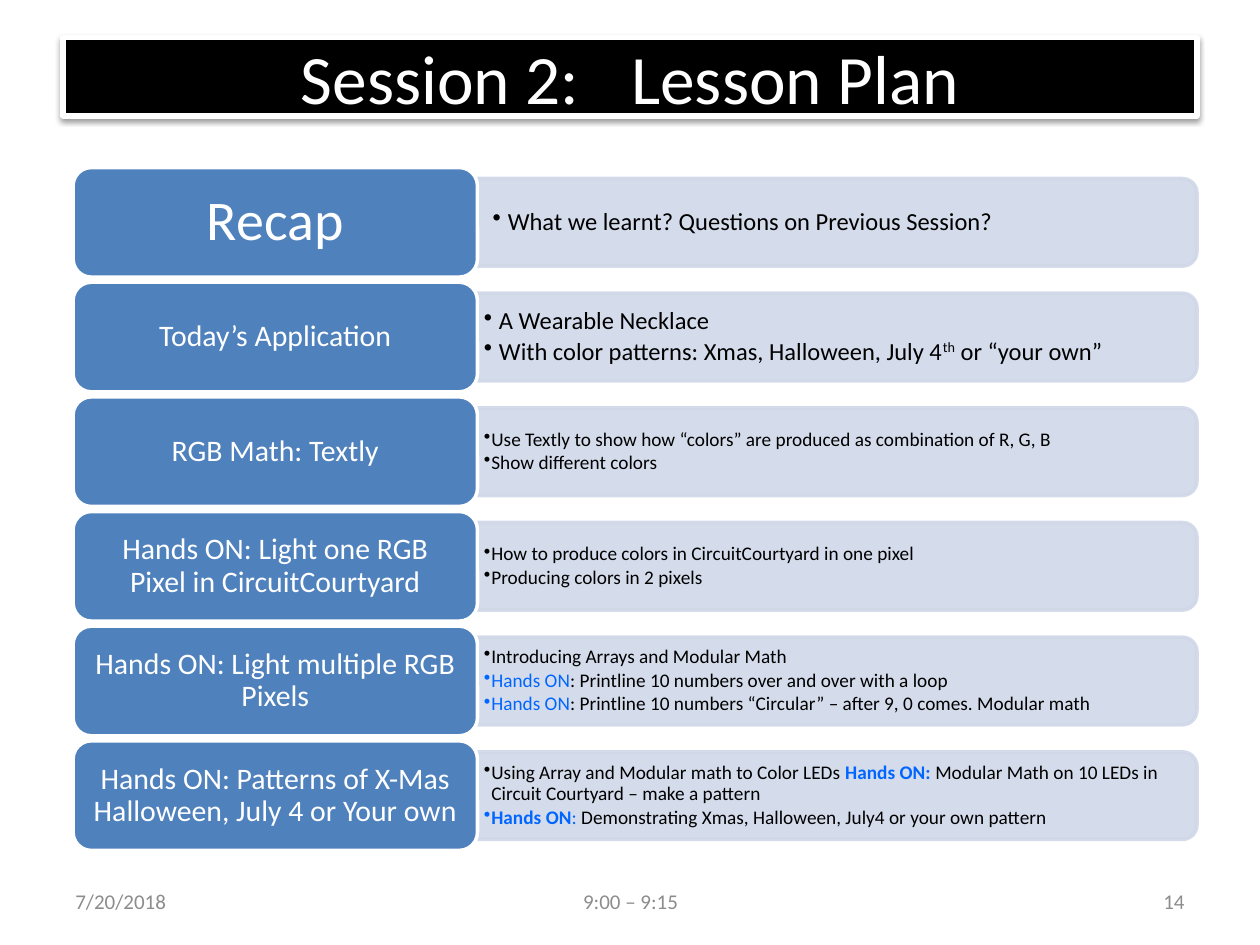
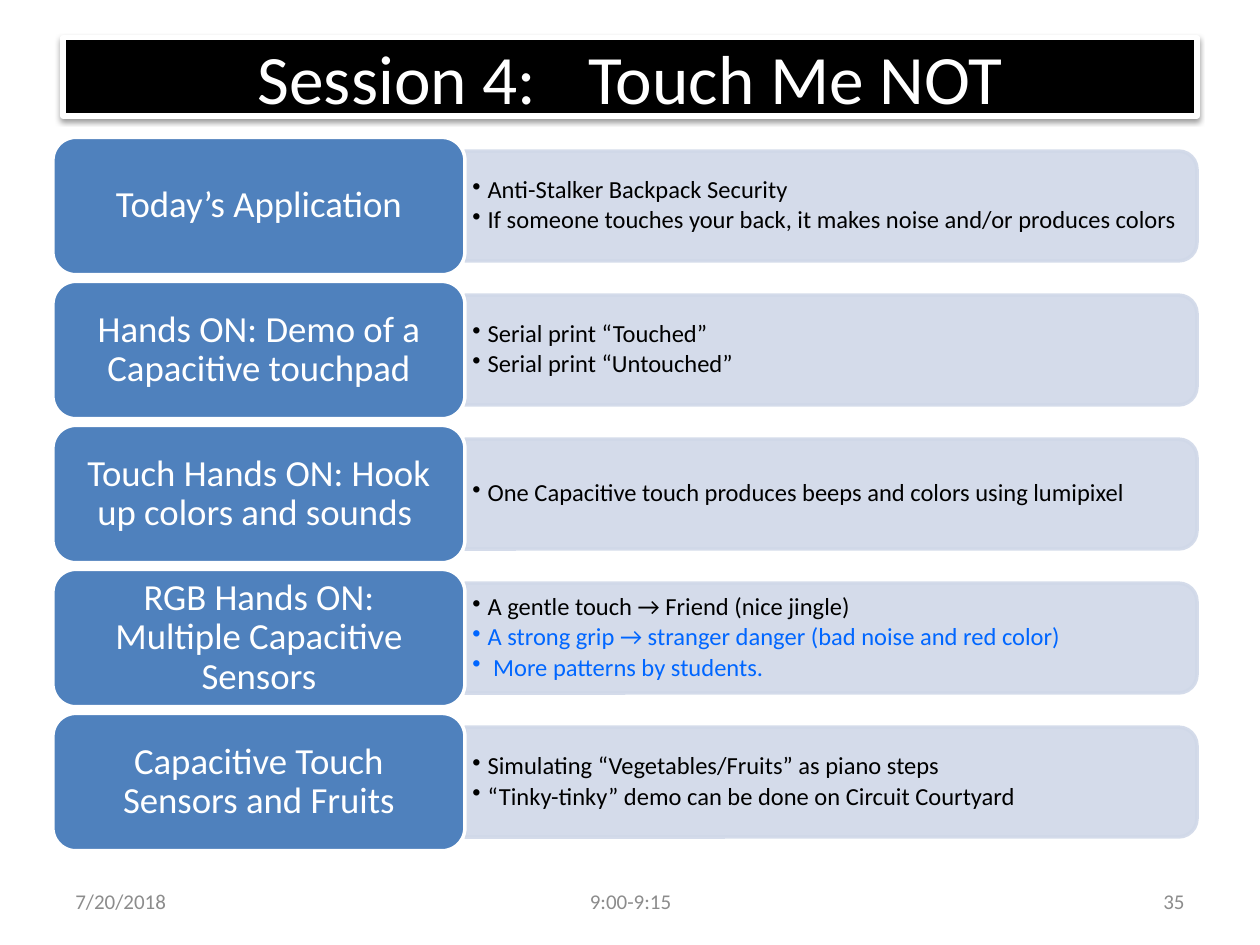
import dataclasses
import typing

import lxml.etree
import pptx
import pptx.dml.color
import pptx.enum.shapes
import pptx.enum.text
import pptx.oxml
import pptx.oxml.ns
import pptx.util

Inches = pptx.util.Inches
Pt = pptx.util.Pt
qn = pptx.oxml.ns.qn
ALIGN = pptx.enum.text.PP_ALIGN
SHAPE = pptx.enum.shapes.MSO_SHAPE


@dataclasses.dataclass(frozen=True)
class Theme:
    font: str = "Calibri"
    black: str = "000000"
    white: str = "FFFFFF"
    label: str = "4F81BD"
    panel: str = "D0D8E8"
    accent: str = "0066FF"
    footer: str = "8C8C8C"
    title_size: float = 39.6
    footer_size: float = 12
    large: float = 14
    small: float = 11


@dataclasses.dataclass(frozen=True)
class Topic:
    label: str
    points: list
    label_size: float
    point_size: float
    inset: float


@dataclasses.dataclass(frozen=True)
class Lesson:
    title: str
    hours: str
    number: str
    left: float
    top: float
    label_width: float
    label_height: float
    pitch: float
    topics: typing.List[Topic]


THEME = Theme()
RIGHT_EDGE = 9.5
LABEL_PADDING = 0.05
PANEL_SHARE = 0.8
POINT_INDENT = {THEME.large: 0.12, THEME.small: 0.06}
BLUE = {"color": THEME.accent}
BOLD_BLUE = {"color": THEME.accent, "bold": True}
SUPERSCRIPT = {"baseline": 30000}

LESSON_PLAN = Lesson(
    "Session 2:\t Lesson Plan", "9:00 – 9:15", "14", 0.58, 1.33, 3.21, 0.87, 0.91,
    [
        Topic("Recap", ["What we learnt? Questions on Previous Session?"], 32, THEME.large, 0.12),
        Topic("Today’s Application", [
            "A Wearable Necklace",
            ["With color patterns: Xmas, Halloween, July 4", ("th", SUPERSCRIPT), " or “your own”"],
        ], 17, THEME.large, 0.05),
        Topic("RGB Math: Textly", [
            "Use Textly to show how “colors” are produced as combination of R, G, B",
            "Show different colors",
        ], 17, THEME.small, 0.05),
        Topic("Hands ON: Light one RGB Pixel in CircuitCourtyard", [
            "How to produce colors in CircuitCourtyard in one pixel",
            "Producing colors in 2 pixels",
        ], 17, THEME.small, 0.05),
        Topic("Hands ON: Light multiple RGB Pixels", [
            "Introducing Arrays and Modular Math",
            [("Hands ON", BLUE), ": Printline 10 numbers over and over with a loop"],
            [("Hands ON", BLUE),
             ": Printline 10 numbers “Circular” – after 9, 0 comes. Modular math"],
        ], 17, THEME.small, 0.05),
        Topic("Hands ON: Patterns of X-Mas Halloween, July 4 or Your own", [
            ["Using Array and Modular math to Color LEDs ", ("Hands ON: ", BOLD_BLUE),
             "Modular Math on 10 LEDs in Circuit Courtyard – make a pattern"],
            [("Hands ON", BOLD_BLUE), (": ", BLUE),
             "Demonstrating Xmas, Halloween, July4 or your own pattern"],
        ], 17, THEME.small, 0.05),
    ],
)

TOUCH_LESSON = Lesson(
    "Session 4:\t Touch Me NOT", "9:00-9:15", "35", 0.42, 1.09, 3.27, 1.09, 1.143,
    [Topic(label, points, 21, THEME.large, 0.06) for label, points in [
        ("Today’s Application", [
            "Anti-Stalker Backpack Security",
            "If someone touches your back, it makes noise and/or produces colors",
        ]),
        ("Hands ON: Demo of a Capacitive touchpad", [
            "Serial print “Touched”",
            "Serial print “Untouched”",
        ]),
        ("Touch Hands ON: Hook up colors and sounds ", [
            "One Capacitive touch produces beeps and colors using lumipixel",
        ]),
        ("RGB Hands ON: Multiple Capacitive Sensors", [
            "A gentle touch → Friend (nice jingle)",
            [("A strong grip → stranger danger (bad noise and red color)", BLUE)],
            [(" More patterns by students.", BLUE)],
        ]),
        ("Capacitive Touch Sensors and Fruits", [
            "Simulating “Vegetables/Fruits” as piano steps",
            "“Tinky-tinky” demo can be done on Circuit Courtyard",
        ]),
    ]],
)


def rgb(color):
    return pptx.dml.color.RGBColor.from_string(color)


def add_run(paragraph, text, size, color, bold=False, baseline=None):
    run = paragraph.add_run()
    run.text = text
    run.font.name = THEME.font
    run.font.size = Pt(size)
    run.font.bold = bold
    run.font.color.rgb = rgb(color)
    if baseline:
        run._r.get_or_add_rPr().set("baseline", str(baseline))


def add_bullet(paragraph, indent):
    paragraph.level = 1
    properties = paragraph._p.get_or_add_pPr()
    properties.set("marL", str(Inches(indent)))
    properties.set("indent", str(-Inches(indent)))
    lxml.etree.SubElement(properties, qn("a:buChar")).set("char", "•")


def write(shape, paragraphs, size, color, align=ALIGN.LEFT, insets=(0.1, 0.05),
          line_spacing=None, space_after=0, indent=None):
    frame = shape.text_frame
    frame.word_wrap = True
    frame.auto_size = pptx.enum.text.MSO_AUTO_SIZE.NONE
    frame.vertical_anchor = pptx.enum.text.MSO_ANCHOR.MIDDLE
    frame.margin_left = frame.margin_right = Inches(insets[0])
    frame.margin_top = frame.margin_bottom = Inches(insets[1])
    for position, content in enumerate(paragraphs):
        paragraph = frame.add_paragraph() if position else frame.paragraphs[0]
        paragraph.alignment = align
        paragraph.line_spacing = line_spacing
        paragraph.space_after = Pt(size * space_after)
        if indent:
            add_bullet(paragraph, indent)
        for part in [content] if isinstance(content, str) else content:
            text, emphasis = (part, {}) if isinstance(part, str) else part
            add_run(paragraph, text, **{"size": size, "color": color, **emphasis})


def paint(shape, fill, line, width):
    shape.fill.solid()
    shape.fill.fore_color.rgb = rgb(fill)
    shape.line.color.rgb = rgb(line)
    shape.line.width = Pt(width)


def add_block(slide, preset, left, top, width, height, fill, line):
    block = slide.shapes.add_shape(
        preset, Inches(left), Inches(top), Inches(width), Inches(height))
    block.shadow.inherit = False
    paint(block, fill, line, 2)
    return block


def add_text_box(slide, left, top, width, height, paragraphs, **text_format):
    box = slide.shapes.add_textbox(Inches(left), Inches(top), Inches(width), Inches(height))
    write(box, paragraphs, **text_format)


def add_panel(slide, left, top, width, height):
    panel = add_block(slide, SHAPE.ROUND_2_SAME_RECTANGLE,
                      left + (width - height) / 2, top + (height - width) / 2,
                      height, width, THEME.panel, THEME.panel)
    panel.rotation = 90
    for color in panel._element.spPr.iter(qn("a:srgbClr")):
        lxml.etree.SubElement(color, qn("a:alpha")).set("val", "90000")


def add_topic(slide, lesson, topic, top):
    panel_left = lesson.left + lesson.label_width
    panel_width = RIGHT_EDGE - panel_left
    panel_height = lesson.label_height * PANEL_SHARE
    panel_top = top + (lesson.label_height - panel_height) / 2
    add_panel(slide, panel_left, panel_top, panel_width, panel_height)
    add_text_box(slide, panel_left, panel_top + 0.03, panel_width - 0.04, panel_height - 0.06,
                 topic.points, size=topic.point_size, color=THEME.black,
                 insets=(topic.inset, topic.inset / 2), line_spacing=0.9, space_after=0.15,
                 indent=POINT_INDENT[topic.point_size])
    label = add_block(slide, SHAPE.ROUNDED_RECTANGLE, lesson.left, top,
                      lesson.label_width, lesson.label_height, THEME.label, THEME.white)
    label_inset = topic.label_size * 0.3 / 72
    write(label, [topic.label], size=topic.label_size, color=THEME.white, align=ALIGN.CENTER,
          insets=(LABEL_PADDING + label_inset, LABEL_PADDING + label_inset / 2),
          line_spacing=0.9, space_after=0.35)


def add_title(slide, text):
    title = slide.shapes.title
    title.left, title.top = Inches(0.5), Inches(0.3)
    title.width, title.height = Inches(9), Inches(0.62)
    paint(title, THEME.black, THEME.white, 3)
    effects = lxml.etree.SubElement(title._element.spPr, qn("a:effectLst"))
    shadow = lxml.etree.SubElement(
        effects, qn("a:outerShdw"), blurRad=str(Pt(3.1)), dist=str(Pt(1.6)),
        dir="5400000", rotWithShape="0")
    shade = lxml.etree.SubElement(shadow, qn("a:srgbClr"), val=THEME.black)
    lxml.etree.SubElement(shade, qn("a:alpha"), val="38000")
    write(title, [text], size=THEME.title_size, color=THEME.white, align=ALIGN.CENTER)


def add_footer(slide, lesson):
    for left, width, text, align in [
        (0.5, 2.33, "7/20/2018", ALIGN.LEFT),
        (3.42, 3.17, lesson.hours, ALIGN.CENTER),
        (7.17, 2.33, lesson.number, ALIGN.RIGHT),
    ]:
        add_text_box(slide, left, 6.95, width, 0.4, [text],
                     size=THEME.footer_size, color=THEME.footer, align=align)


def add_lesson(deck, lesson):
    slide = deck.slides.add_slide(deck.slide_layouts.get_by_name("Title Only"))
    add_title(slide, lesson.title)
    for row, topic in enumerate(lesson.topics):
        add_topic(slide, lesson, topic, lesson.top + row * lesson.pitch)
    add_footer(slide, lesson)


def main():
    deck = pptx.Presentation()
    deck.slide_width, deck.slide_height = Inches(10), Inches(7.5)
    for lesson in (LESSON_PLAN, TOUCH_LESSON):
        add_lesson(deck, lesson)
    deck.save("out.pptx")


if __name__ == "__main__":
    main()
